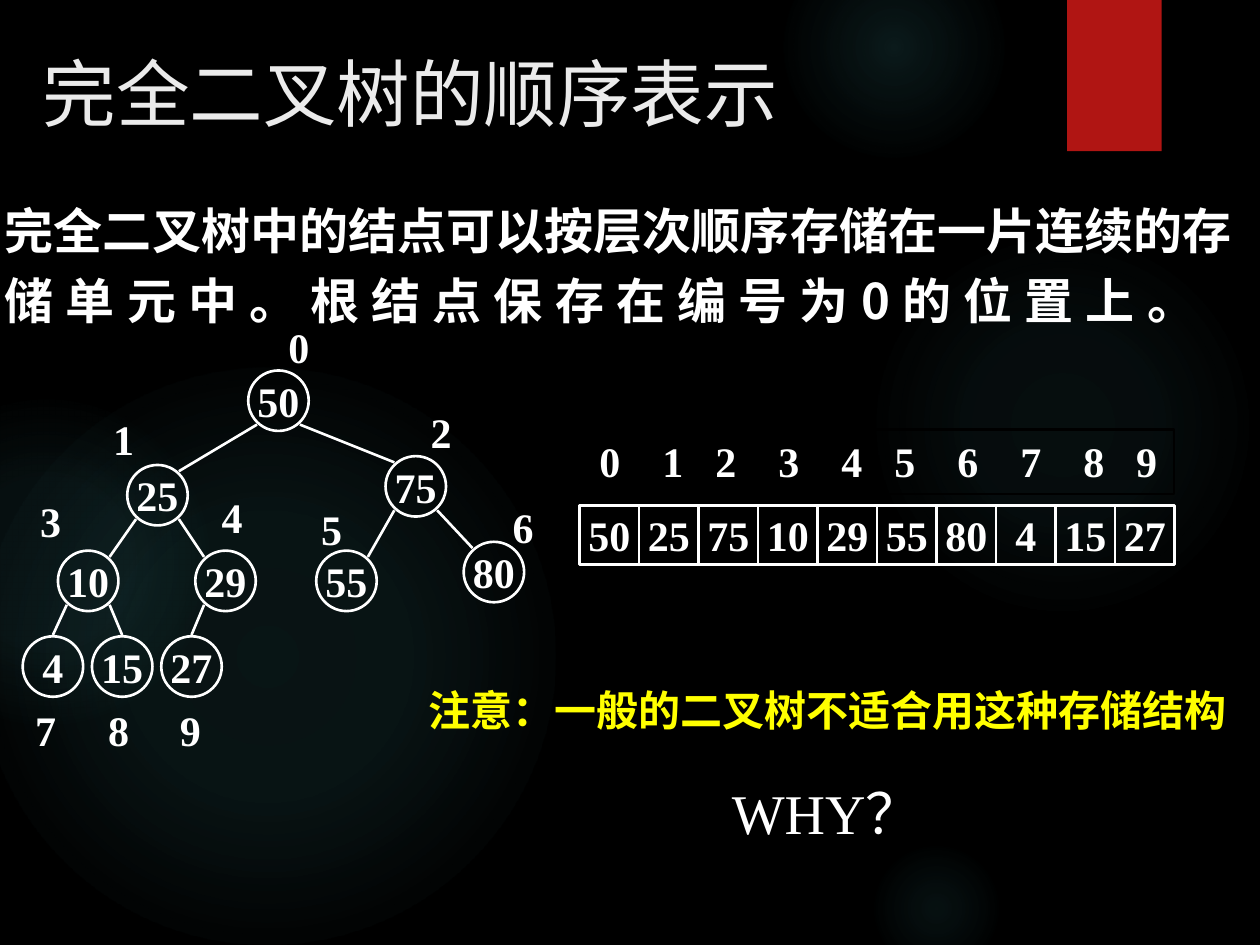
from lxml import etree
from pptx import Presentation
from pptx.dml.color import RGBColor
from pptx.enum import shapes, text
from pptx.oxml import ns
from pptx.util import Inches, Pt

WHITE = RGBColor(0xFF, 0xFF, 0xFF)
BLACK = RGBColor(0, 0, 0)
PALE = RGBColor(0xEB, 0xEB, 0xEB)
YELLOW = RGBColor(0xFF, 0xFF, 0)
RED = RGBColor(0xB0, 0x15, 0x13)
TEAL = RGBColor(0x50, 0xB9, 0xC1)
SERIF = "Times New Roman"
SANS = "Noto Sans CJK SC"
KEYS = [50, 25, 75, 10, 29, 55, 80, 4, 15, 27]
RECT = shapes.MSO_SHAPE.RECTANGLE
OVAL = shapes.MSO_SHAPE.OVAL


def style(para, size, face=SERIF, color=WHITE, bold=True):
    font = para.font
    font.size, font.name, font.bold = Pt(size), face, bold
    font.color.rgb = color
    for run in para.runs:
        props = run._r.get_or_add_rPr()
        etree.SubElement(props, ns.qn("a:ea"), typeface=SANS)


def label(slide, box, words, size=24, **look):
    area = slide.shapes.add_textbox(*map(Inches, box))
    area.text_frame.word_wrap = True
    para = area.text_frame.paragraphs[0]
    para.text = words
    style(para, size, **look)
    return area


def cell(slide, kind, box, key):
    shape = slide.shapes.add_shape(kind, *map(Inches, box))
    shape.shadow.inherit = False
    shape.fill.background()
    shape.line.color.rgb = WHITE
    shape.line.width = Pt(1.5)
    frame = shape.text_frame
    frame.word_wrap = False
    frame.vertical_anchor = text.MSO_ANCHOR.MIDDLE
    para = frame.paragraphs[0]
    para.text = str(key)
    para.alignment = text.PP_ALIGN.CENTER
    style(para, 24)


def edge(slide, start, end):
    line = slide.shapes.add_connector(
        shapes.MSO_CONNECTOR.STRAIGHT, *map(Inches, start + end))
    line.line.color.rgb = WHITE
    line.line.width = Pt(1.5)
    etree.SubElement(line._element.spPr, ns.qn("a:effectLst"))


def glow(slide, left, top, size, stops):
    """Draw a soft round light; stops are (position, opacity) percentages."""
    disc = slide.shapes.add_shape(OVAL, *map(Inches, (left, top, size, size)))
    disc.shadow.inherit = False
    disc.line.fill.background()
    disc.fill.gradient()
    grad = disc._element.spPr.find(ns.qn("a:gradFill"))
    for part in list(grad):
        grad.remove(part)
    ramp = etree.SubElement(grad, ns.qn("a:gsLst"))
    for pos, alpha in stops:
        stop = etree.SubElement(ramp, ns.qn("a:gs"), pos=str(pos * 1000))
        tint = etree.SubElement(stop, ns.qn("a:srgbClr"), val=str(TEAL))
        etree.SubElement(tint, ns.qn("a:alpha"), val=str(alpha * 1000))
    way = etree.SubElement(grad, ns.qn("a:path"), path="circle")
    etree.SubElement(way, ns.qn("a:fillToRect"),
                     l="50000", t="50000", r="50000", b="50000")


def backdrop(slide):
    slide.background.fill.solid()
    slide.background.fill.fore_color.rgb = BLACK
    glow(slide, 6.89, 1.83, 3.08, [(0, 7), (36, 6), (69, 0)])
    glow(slide, 6.22, -0.5, 1.75, [(0, 14), (36, 7), (73, 0)])
    glow(slide, 6.89, 6.67, 1.08, [(0, 9), (36, 5), (66, 0)])
    glow(slide, -0.17, 2.92, 4.58, [(0, 11), (36, 10), (75, 0)])
    glow(slide, -0.92, 3.17, 2.58, [(0, 8), (36, 8), (72, 0)])
    flag = slide.shapes.add_shape(RECT, *map(Inches, (8.47, 0, 0.75, 1.2)))
    flag.shadow.inherit = False
    flag.fill.solid()
    flag.fill.fore_color.rgb = RED
    flag.line.fill.background()


def heading(slide, box):
    title = slide.shapes.title
    title.left, title.top, title.width, title.height = map(Inches, box)
    frame = title.text_frame
    frame.text = "完全二叉树的顺序表示"
    frame.vertical_anchor = text.MSO_ANCHOR.TOP
    para = frame.paragraphs[0]
    para.alignment = text.PP_ALIGN.LEFT
    style(para, 42, color=PALE, bold=False)
    # Keep the title above the backdrop
    slide.shapes._spTree.append(title._element)


def intro(slide, box):
    area = slide.shapes.add_textbox(*map(Inches, box))
    area.text_frame.word_wrap = True
    para = area.text_frame.paragraphs[0]
    para.alignment = text.PP_ALIGN.JUSTIFY
    para.line_spacing = Pt(40)
    para.add_run().text = "完全二叉树中的结点可以按层次顺序存储在一片连续的存"
    wide = para.add_run()
    wide.text = "储单元中。根结点保存在编号为0的位置上。"
    style(para, 28, face=SANS)
    # Spread the second line over the full width
    wide._r.get_or_add_rPr().set("spc", "700")


def tree(slide, left, top):
    size = 0.48
    spots = [(1.79, 0), (0.83, 0.75), (2.88, 0.68), (0.28, 1.43),
             (1.37, 1.43), (2.33, 1.43), (3.5, 1.36),
             (0, 2.11), (0.55, 2.11), (1.1, 2.11)]
    tags = [(2.01, -0.44), (0.62, 0.29), (3.14, 0.24), (0.04, 0.94),
            (1.48, 0.91), (2.27, 1.01), (3.79, 0.99),
            (0, 2.6), (0.58, 2.6), (1.15, 2.6)]
    mids = [(left + x + size / 2, top + y + size / 2) for x, y in spots]
    for i, (key, (x, y), (tx, ty)) in enumerate(zip(KEYS, spots, tags)):
        cell(slide, OVAL, (left + x, top + y, size, size), key)
        label(slide, (left + tx, top + ty, 0.59, 0.5), str(i))
        if i:
            # Odd positions are left children
            px, py = mids[(i - 1) // 2]
            cx, cy = mids[i]
            side = -0.17 if i % 2 else 0.17
            end = (cx, cy - 0.25) if i > 6 else (cx - side, cy - 0.19)
            edge(slide, (px + side, py + 0.19), end)


def array(slide, left, top):
    pitch = 4.25 / 9
    for i, key in enumerate(KEYS):
        cell(slide, RECT, (left + i * pitch, top, pitch, 0.47), key)
    # Positions above the cells, set on tab stops
    row = label(slide, (left + 0.06, top - 0.6, 4.66, 0.51),
                "\t".join(map(str, range(len(KEYS)))))
    row.line.color.rgb = BLACK
    row.line.width = Pt(1.5)
    props = row.text_frame.paragraphs[0]._p.get_or_add_pPr()
    tabs = etree.Element(ns.qn("a:tabLst"))
    props.insert(0, tabs)
    stop = 0
    for i in range(1, len(KEYS)):
        stop += 0.42 if i in (2, 5, 9) else 0.5
        etree.SubElement(tabs, ns.qn("a:tab"), pos=str(Inches(stop)), algn="l")


def main():
    deck = Presentation()
    deck.slide_width, deck.slide_height = Inches(10), Inches(7.5)
    slide = deck.slides.add_slide(deck.slide_layouts[5])
    backdrop(slide)
    heading(slide, (0.24, 0.33, 10.29, 1.53))
    intro(slide, (-0.06, 1.45, 9.94, 1.23))
    tree(slide, 0.18, 2.94)
    array(slide, 4.6, 4.01)
    # Closing remarks
    label(slide, (3.3, 5.38, 6.53, 0.5),
          "注意：一般的二叉树不适合用这种存储结构", face=SANS, color=YELLOW)
    label(slide, (5.71, 6.13, 2.78, 0.64), "WHY？", size=32, bold=False)
    deck.save("out.pptx")


if __name__ == "__main__":
    main()
